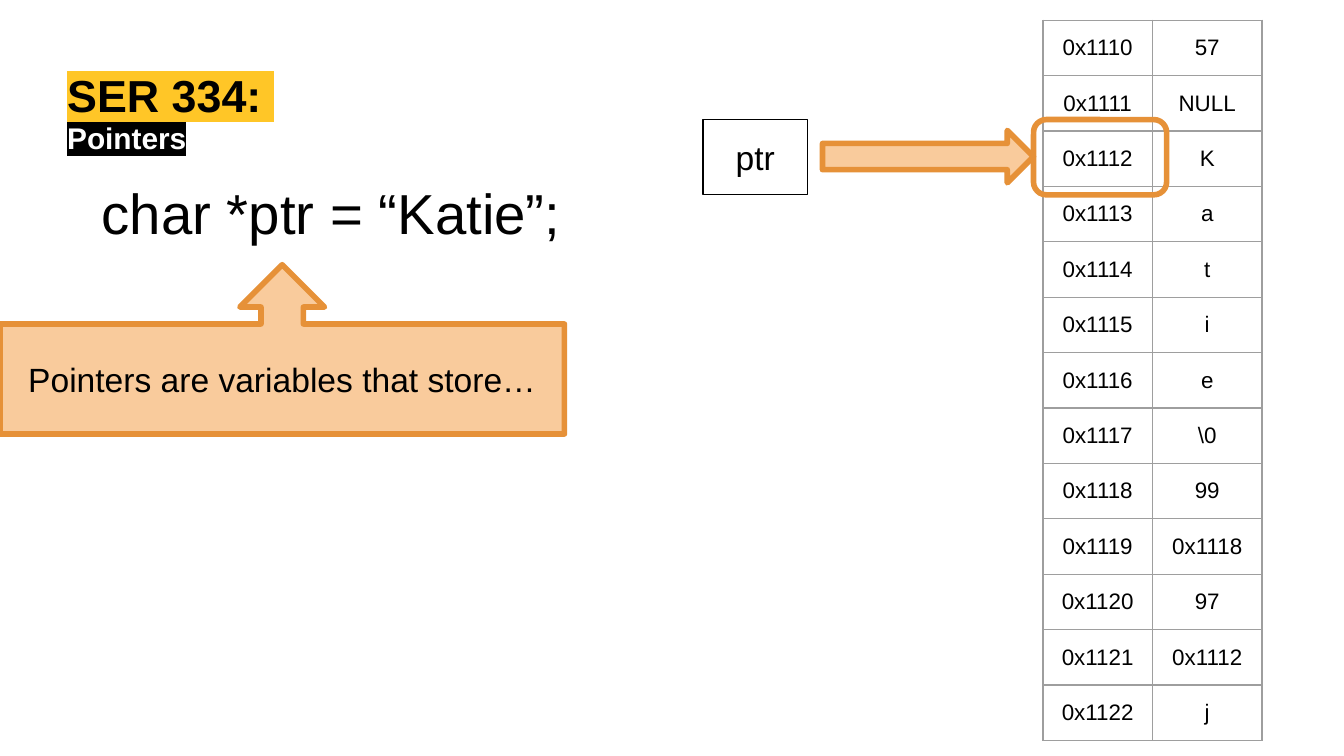
from lxml.etree import SubElement
from pptx import Presentation
from pptx.dml.color import RGBColor
from pptx.enum.shapes import MSO_SHAPE
from pptx.enum.text import MSO_ANCHOR, MSO_AUTO_SIZE, PP_ALIGN
from pptx.oxml import parse_xml
from pptx.oxml.ns import nsdecls, qn
from pptx.util import Inches, Pt


def rgb(value):
    return RGBColor.from_string(value)


def write(holder, text, size):
    frame = holder.text_frame
    frame.text = text
    frame.word_wrap = True
    box = holder if hasattr(holder, "margin_left") else frame
    box.margin_left = box.margin_right = Inches(0.1)
    box.margin_top = box.margin_bottom = Inches(0.1)
    box.vertical_anchor = MSO_ANCHOR.MIDDLE
    paragraph = frame.paragraphs[0]
    paragraph.alignment = PP_ALIGN.CENTER
    paragraph.font.name = "Arial"
    paragraph.font.size = Pt(size)
    paragraph.font.color.rgb = rgb("000000")


prs = Presentation()
prs.slide_width = Inches(10)
prs.slide_height = prs.slide_width * 9 // 16
slide = prs.slides.add_slide(prs.slide_layouts[0])
shapes = slide.shapes

headings = [
    ("SER 334: ", 0.5, 4.85, 0.39, 24, "000000", "FFC627"),
    ("Pointers", 0.89, 6.51, 0.29, 16, "FFFFFF", "000000"),
]
for heading, (text, top, width, height, size, color, highlight) in zip(
    slide.placeholders, headings
):
    heading.left, heading.top = Inches(0.5), Inches(top)
    heading.width, heading.height = Inches(width), Inches(height)
    frame = heading.text_frame
    frame.text = text
    frame.auto_size = MSO_AUTO_SIZE.NONE
    frame.vertical_anchor = MSO_ANCHOR.TOP
    frame.margin_left = frame.margin_right = 0
    frame.margin_top = frame.margin_bottom = 0
    paragraph = frame.paragraphs[0]
    paragraph.alignment = PP_ALIGN.LEFT
    paragraph.space_before = Pt(0)
    font = paragraph.runs[0].font
    font.name, font.size, font.bold = "Arial", Pt(size), True
    font.color.rgb = rgb(color)
    properties = font._element
    marker = SubElement(properties, qn("a:highlight"))
    SubElement(marker, qn("a:srgbClr"), val=highlight)
    properties.find(qn("a:solidFill")).addnext(marker)

declaration = shapes.add_textbox(Inches(0.32), Inches(1.16), Inches(4.29), Inches(0.83))
write(declaration, "char *ptr = “Katie”;", 30.2)

memory = [
    ("0x1110", "57"),
    ("0x1111", "NULL"),
    ("0x1112", "K"),
    ("0x1113", "a"),
    ("0x1114", "t"),
    ("0x1115", "i"),
    ("0x1116", "e"),
    ("0x1117", "\\0"),
    ("0x1118", "99"),
    ("0x1119", "0x1118"),
    ("0x1120", "97"),
    ("0x1121", "0x1112"),
    ("0x1122", "j"),
]
memory_table = shapes.add_table(
    len(memory), 2, Inches(7.76), Inches(0.15), Inches(1.63), Inches(5.36)
).table
memory_table.first_row = False
memory_table.horz_banding = False
for row, entry in enumerate(memory):
    for column, text in enumerate(entry):
        cell = memory_table.cell(row, column)
        write(cell, text, 12)
        cell.fill.background()
        for index, side in enumerate(("lnL", "lnR", "lnT", "lnB")):
            border = parse_xml(
                f'<a:{side} {nsdecls("a")} w="{Pt(0.75)}"><a:solidFill>'
                f'<a:srgbClr val="9E9E9E"/></a:solidFill></a:{side}>'
            )
            cell._tc.get_or_add_tcPr().insert(index, border)

diagram = [
    (MSO_SHAPE.RECTANGLE, 5.23, 0.89, 0.78, 0.56, [], "FFFFFF", "000000", 0.75, "ptr"),
    (MSO_SHAPE.RIGHT_ARROW, 6.12, 0.97, 1.57, 0.39, [0.5, 0.5], "F9CB9C", "E69138", 3, ""),
    (MSO_SHAPE.ROUNDED_RECTANGLE, 7.69, 0.89, 0.99, 0.56, [0.17], None, "E69138", 3, ""),
    (MSO_SHAPE.UP_ARROW_CALLOUT, 0, 1.97, 4.2, 1.26, [0.25, 0.25, 0.25, 0.65],
     "F9CB9C", "E69138", 3, "Pointers are variables that store…"),
]
for kind, left, top, width, height, adjustments, fill, line, weight, text in diagram:
    part = shapes.add_shape(kind, Inches(left), Inches(top), Inches(width), Inches(height))
    part.shadow.inherit = False
    for index, value in enumerate(adjustments):
        part.adjustments[index] = value
    if fill:
        part.fill.solid()
        part.fill.fore_color.rgb = rgb(fill)
    else:
        part.fill.background()
    part.line.color.rgb = rgb(line)
    part.line.width = Pt(weight)
    if text:
        write(part, text, 18)

prs.save("out.pptx")
